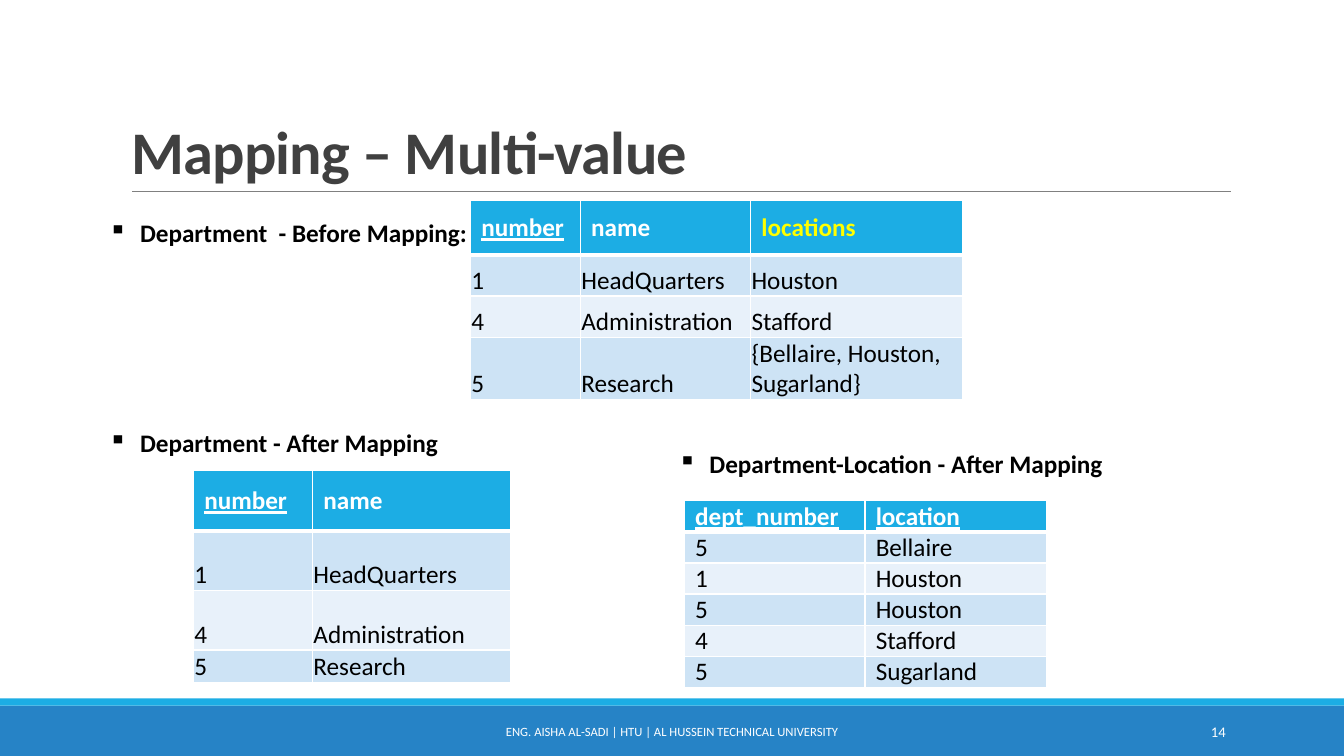
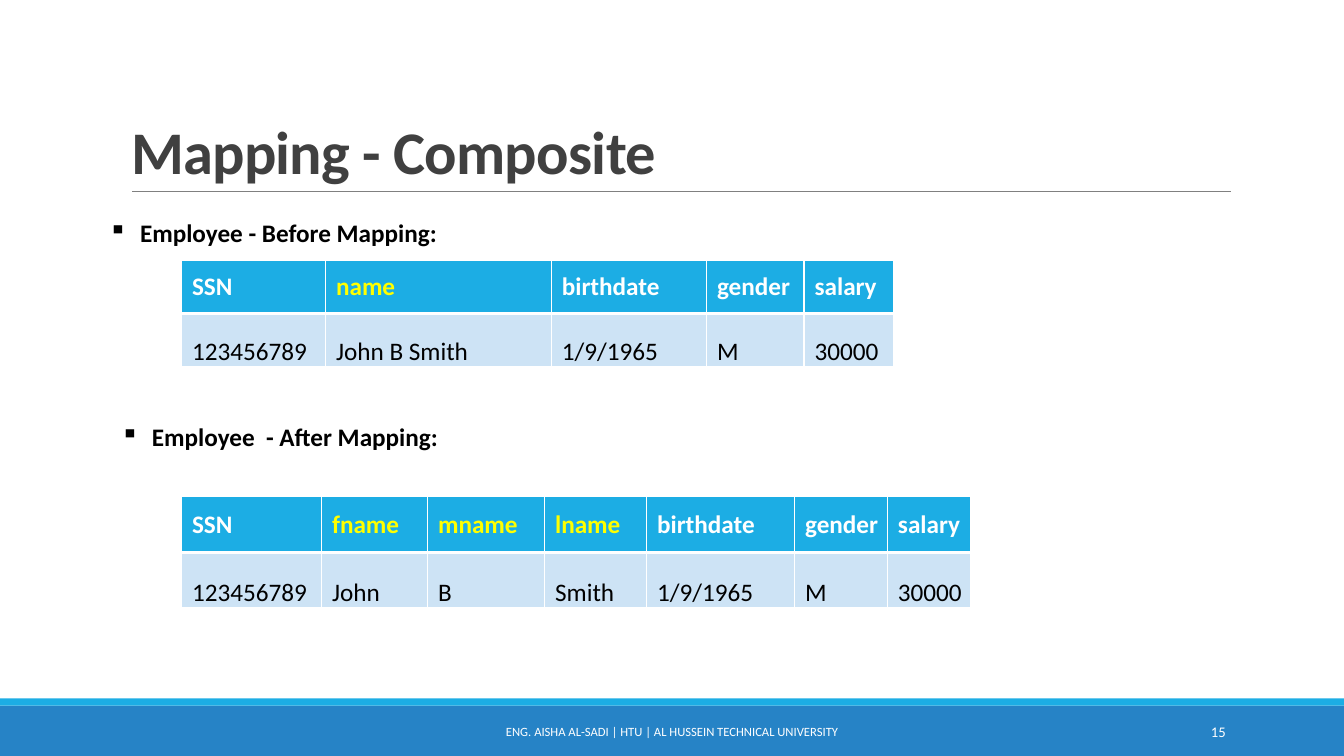
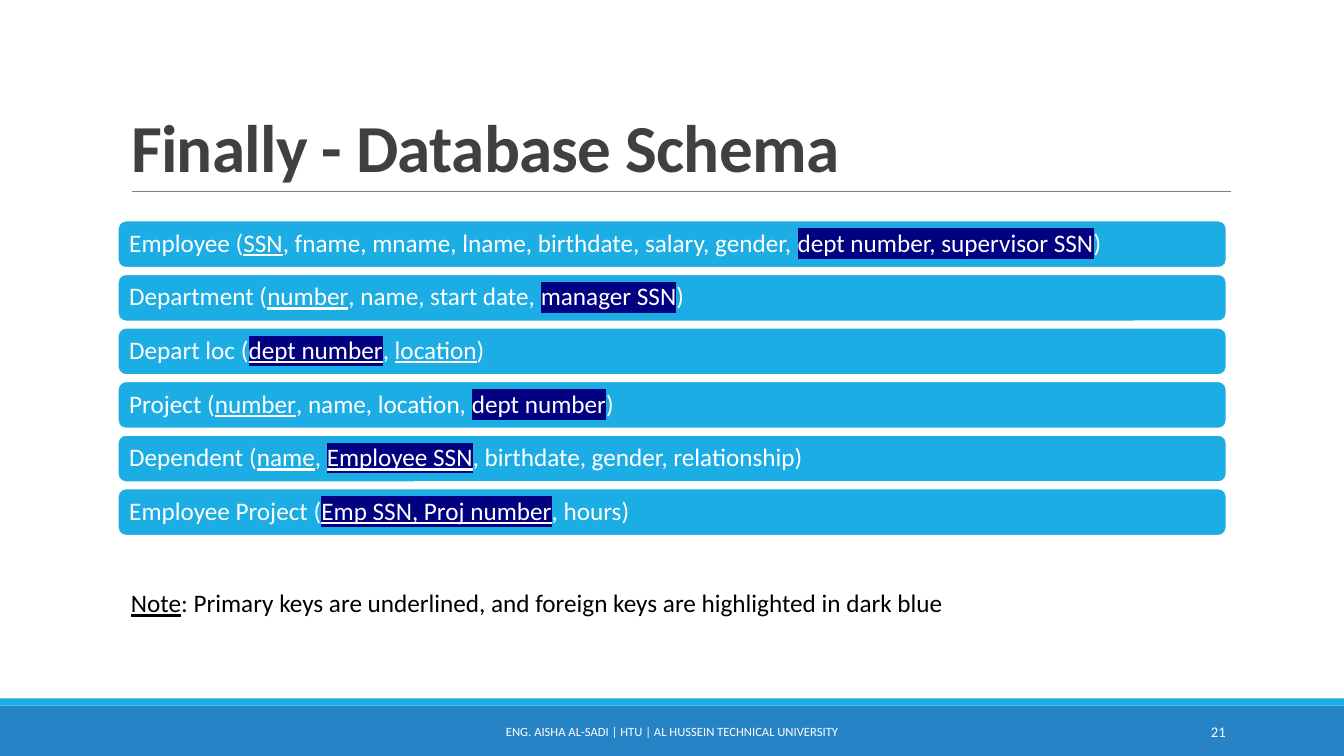
from dataclasses import dataclass

from lxml.etree import SubElement
from pptx import Presentation
from pptx.dml.color import RGBColor
from pptx.enum.shapes import MSO_CONNECTOR as Connector, MSO_SHAPE as Shape
from pptx.enum.text import MSO_ANCHOR as Anchor, PP_ALIGN as Align
from pptx.oxml.ns import qn
from pptx.util import Cm, Pt


@dataclass(frozen=True)
class Theme:
    font: str = "Calibri"
    white: str = "FFFFFF"
    black: str = "000000"
    title: str = "404040"
    rule: str = "808080"
    accent: str = "1CADE4"
    band: str = "2683C6"
    rows: tuple = ("CDE3F5", "E8F1FA")
    changed: str = "FFFF00"
    foreign: str = "000080"
    title_size: float = 43.2
    large_title_size: float = 48
    body_size: float = 18
    footer_size: float = 9
    number_size: float = 10.5


THEME = Theme()
FOOTER = "ENG. AISHA AL-SADI | HTU | AL HUSSEIN TECHNICAL UNIVERSITY"

PRIMARY = {"underline": True}
FOREIGN = {"highlight": THEME.foreign}
PRIMARY_FOREIGN = PRIMARY | FOREIGN
CHANGED = {"color": THEME.changed}

DEPARTMENTS = [("1", "HeadQuarters"), ("4", "Administration"), ("5", "Research")]
LOCATIONS = ["Houston", "Stafford", "{Bellaire, Houston, Sugarland}"]
DEPARTMENT_LOCATIONS = [
    ("5", "Bellaire"),
    ("1", "Houston"),
    ("5", "Houston"),
    ("4", "Stafford"),
    ("5", "Sugarland"),
]
SCHEMA = [
    ["Employee (", ("SSN", PRIMARY),
     ", fname, mname, lname, birthdate, salary, gender, ",
     ("dept number, supervisor SSN", FOREIGN), ")"],
    ["Department (", ("number", PRIMARY), ", name, start date, ",
     ("manager SSN", FOREIGN), ")"],
    ["Depart loc (", ("dept number", PRIMARY_FOREIGN), ", ",
     ("location", PRIMARY), ")"],
    ["Project (", ("number", PRIMARY), ", name, location, ",
     ("dept number", FOREIGN), ")"],
    ["Dependent (", ("name", PRIMARY), ", ", ("Employee SSN", PRIMARY_FOREIGN),
     ", birthdate, gender, relationship)"],
    ["Employee Project (", ("Emp SSN, Proj number", PRIMARY_FOREIGN), ", hours)"],
]


def rgb(color):
    return RGBColor.from_string(color)


def format_span(span, size=THEME.body_size, color=THEME.black, bold=False,
                underline=False, highlight=None, spacing=None):
    font = span.font
    font.name, font.size, font.bold = THEME.font, Pt(size), bold
    font.underline = underline
    font.color.rgb = rgb(color)
    properties = span._r.get_or_add_rPr()
    if spacing is not None:
        properties.set("spc", str(int(spacing * 100)))
    if highlight:
        mark = SubElement(properties, qn("a:highlight"))
        SubElement(mark, qn("a:srgbClr")).set("val", highlight)
        properties.find(qn("a:solidFill")).addnext(mark)


def write_text(frame, spans, align=Align.LEFT, anchor=Anchor.TOP, margins=None,
               indent=0, bullet=None, line_spacing=None, **style):
    """Write one paragraph; a span is plain text or a (text, style) pair."""
    frame.word_wrap = True
    frame.vertical_anchor = anchor
    if margins:
        (frame.margin_left, frame.margin_top,
         frame.margin_right, frame.margin_bottom) = map(Cm, margins)
    para = frame.paragraphs[0]
    para.alignment = align
    if line_spacing:
        para.line_spacing = line_spacing
    properties = para._p.get_or_add_pPr()
    if indent:
        properties.set("marL", str(Cm(indent)))
    if bullet:
        properties.set("indent", str(-Cm(indent)))
        SubElement(properties, qn("a:buChar")).set("char", bullet)
    for item in [spans] if isinstance(spans, str) else spans:
        text, extra = (item, {}) if isinstance(item, str) else item
        span = para.add_run()
        span.text = text
        format_span(span, **(style | extra))


def add_text(page, box, spans, **style):
    text_box = page.shapes.add_textbox(*map(Cm, box))
    write_text(text_box.text_frame, spans, **style)
    return text_box


def add_heading(page, left, top, width, text):
    add_text(page, (left, top, width, 1.02), text, bold=True, indent=0.79, bullet="▪")


def add_block(page, kind, box, fill, line=None):
    block = page.shapes.add_shape(kind, *map(Cm, box))
    block.shadow.inherit = False
    block.fill.solid()
    block.fill.fore_color.rgb = rgb(fill)
    if line:
        block.line.color.rgb = rgb(line)
        block.line.width = Pt(1.25)
    else:
        block.line.fill.background()
    return block


def add_rule(page, left, right, top):
    rule = page.shapes.add_connector(
        Connector.STRAIGHT, Cm(left), Cm(top), Cm(right), Cm(top))
    rule.line.color.rgb = rgb(THEME.rule)
    rule.line.width = Pt(0.5)
    SubElement(rule._element.spPr, qn("a:effectLst"))
    return rule


def set_borders(cell, row):
    """White lines, thick between the header and the first row."""
    properties = cell._tc.get_or_add_tcPr()
    for side in "LRTB":
        width = 3 if (row, side) in ((0, "B"), (1, "T")) else 1
        line = SubElement(properties, qn(f"a:ln{side}"), w=str(Pt(width)))
        fill = SubElement(line, qn("a:solidFill"))
        SubElement(fill, qn("a:srgbClr"), val=THEME.white)


def add_table(page, left, top, widths, heights, header, records, body_indent=0.25):
    rows = [header, *records]
    table = page.shapes.add_table(
        len(rows), len(widths), Cm(left), Cm(top),
        Cm(sum(widths)), Cm(sum(heights))).table
    for column, width in zip(table.columns, widths):
        column.width = Cm(width)
    for number, (row, height, values) in enumerate(zip(table.rows, heights, rows)):
        row.height = Cm(height)
        if number == 0:
            fill = THEME.accent
            style = dict(anchor=Anchor.MIDDLE, indent=0.25, color=THEME.white, bold=True)
        else:
            fill = THEME.rows[(number - 1) % 2]
            style = dict(anchor=Anchor.BOTTOM, indent=body_indent)
        for cell, value in zip(row.cells, values):
            set_borders(cell, number)
            cell.fill.solid()
            cell.fill.fore_color.rgb = rgb(fill)
            cell.vertical_anchor = style["anchor"]
            cell.margin_left = cell.margin_top = cell.margin_right = Cm(0.02)
            cell.margin_bottom = 0
            write_text(cell.text_frame, [value], **style)


def furnish_layout(deck, layout):
    """Put bands, title rule and footer on the layout, drawn on a page first."""
    page = deck.slides[0]
    shared = [
        add_block(page, Shape.RECTANGLE, (0, 17.78, 33.87, 1.27), THEME.band),
        add_block(page, Shape.RECTANGLE, (0, 17.6, 33.87, 0.18), THEME.accent),
        add_rule(page, 3.33, 31.01, 4.83),
        add_text(page, (10.24, 17.93, 13.39, 1.02), FOOTER, align=Align.CENTER,
                 anchor=Anchor.MIDDLE, size=THEME.footer_size, color=THEME.white),
    ]
    for number, shape in enumerate(shared, 100):
        element = shape._element
        element.xpath(".//p:cNvPr")[0].set("id", str(number))
        layout.shapes.element.append(element)


def add_page(deck, layout, title, number, title_size=THEME.title_size):
    page = deck.slides.add_slide(layout)
    heading = page.shapes.title
    heading.left, heading.top, heading.width, heading.height = map(
        Cm, (3.05, 0.79, 27.94, 4.04))
    write_text(heading.text_frame, title, anchor=Anchor.BOTTOM, line_spacing=0.85,
               size=title_size, color=THEME.title, bold=True, spacing=-0.5)
    add_text(page, (27.51, 17.93, 3.63, 1.02), number, align=Align.RIGHT,
             anchor=Anchor.MIDDLE, size=THEME.number_size, color=THEME.white)
    return page


def fill_multi_value(page):
    number = ("number", PRIMARY)
    add_heading(page, 2.49, 5.36, 17.6, "Department  - Before Mapping:")
    add_table(page, 11.86, 5.05, [2.77, 4.29, 5.33], [1.37, 1.04, 1.04, 1.57],
              [number, "name", ("locations", CHANGED)],
              [(*row, place) for row, place in zip(DEPARTMENTS, LOCATIONS)],
              body_indent=0)
    add_heading(page, 2.49, 10.64, 13.69, "Department - After Mapping")
    add_table(page, 4.88, 11.86, [3, 5], [1.52, 1.5, 1.5, 0.81],
              [number, "name"], DEPARTMENTS, body_indent=0)
    add_heading(page, 16.84, 11.18, 11.51, "Department-Location - After Mapping")
    add_table(page, 17.25, 12.62, [4.55, 4.57], [0.78] * 6,
              [("dept_number", PRIMARY), ("location", PRIMARY)], DEPARTMENT_LOCATIONS)


def fill_composite(page):
    last_headers = ["birthdate", "gender", "salary"]
    last_values = ["1/9/1965", "M", "30000"]
    name_parts = [(part, CHANGED) for part in ("fname", "mname", "lname")]
    add_heading(page, 2.49, 5.36, 17.6, "Employee - Before Mapping:")
    add_table(page, 4.57, 6.55, [3.63, 5.69, 3.91, 2.46, 2.26], [1.35] * 2,
              ["SSN", ("name", CHANGED), *last_headers],
              [["123456789", "John B Smith", *last_values]])
    add_heading(page, 2.79, 10.49, 10.85, "Employee  - After Mapping:")
    add_table(page, 4.57, 12.52, [3.53, 2.67, 2.95, 2.57, 3.73, 2.34, 2.11], [1.4] * 2,
              ["SSN", *name_parts, *last_headers],
              [["123456789", "John", "B", "Smith", *last_values]])


def fill_schema(page):
    for index, relation in enumerate(SCHEMA):
        bar = add_block(page, Shape.ROUNDED_RECTANGLE,
                        (2.97, 5.56 + 1.35 * index, 27.94, 1.19),
                        THEME.accent, line=THEME.white)
        write_text(bar.text_frame, relation, anchor=Anchor.MIDDLE, line_spacing=0.9,
                   margins=(0.23, 0.18, 0.23, 0.18), color=THEME.white)
    add_text(page, (3.05, 14.68, 24.46, 1.02), [
        ("Note", PRIMARY),
        ": Primary keys are underlined, and foreign keys are highlighted in dark blue",
    ])


def main():
    deck = Presentation()
    deck.slide_width, deck.slide_height = Cm(33.87), Cm(19.05)
    layout = deck.slide_layouts[5]
    fill_multi_value(add_page(deck, layout, "Mapping – Multi-value", "14"))
    fill_composite(add_page(deck, layout, "Mapping - Composite", "15"))
    fill_schema(add_page(deck, layout, "Finally - Database Schema", "21",
                         title_size=THEME.large_title_size))
    furnish_layout(deck, layout)
    deck.save("out.pptx")


if __name__ == "__main__":
    main()
